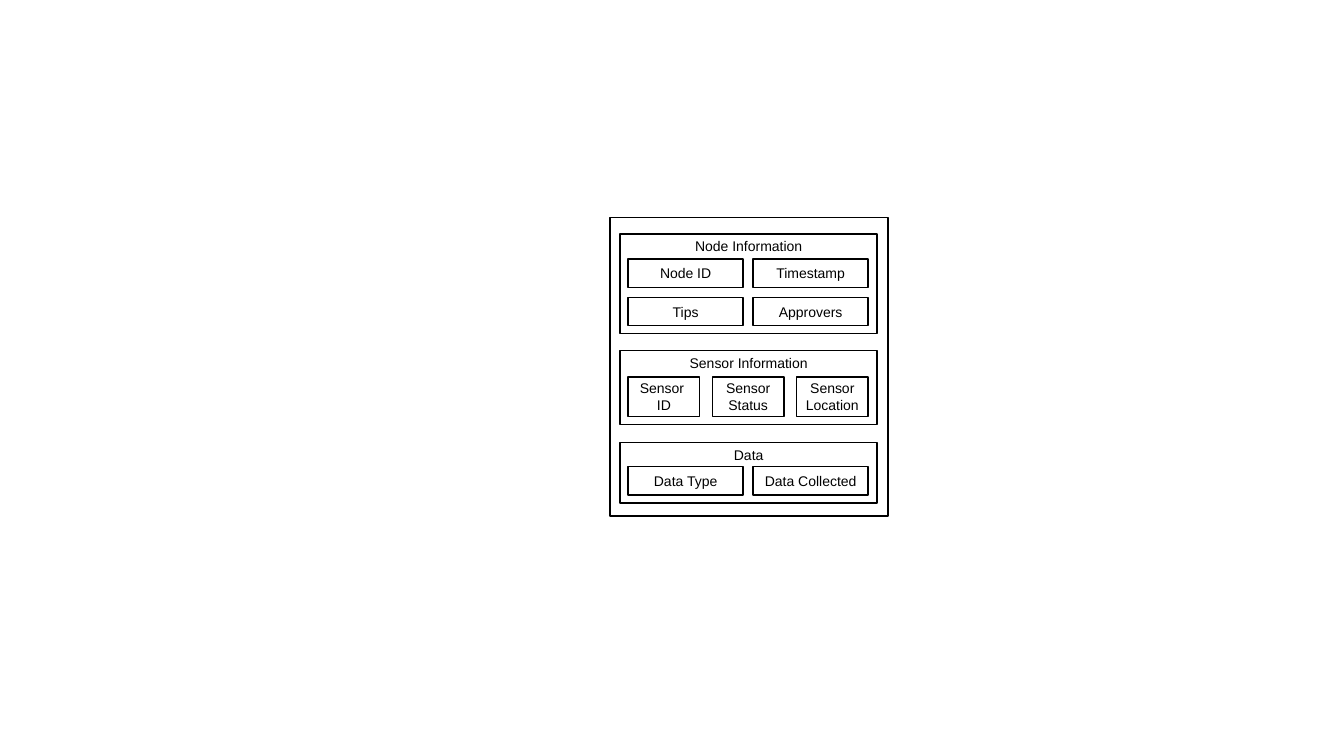
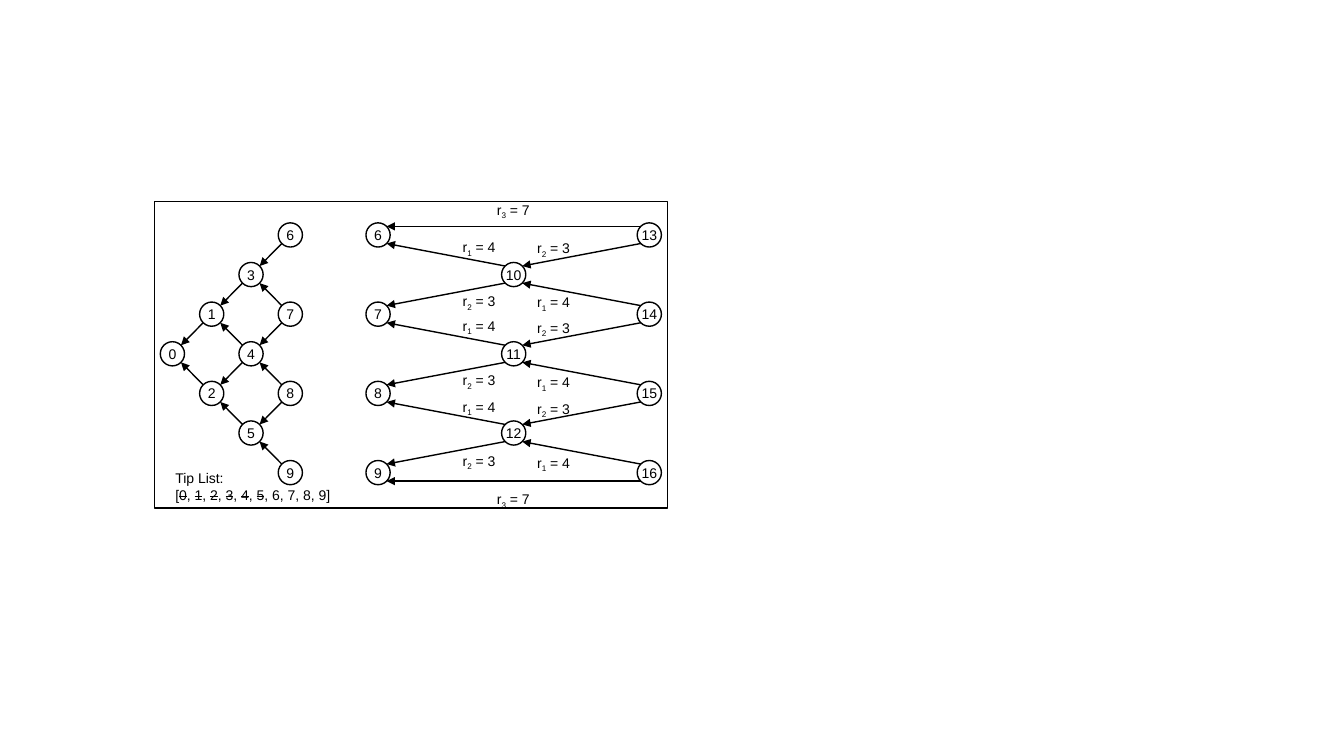
from pptx import Presentation
from pptx.dml.color import RGBColor
from pptx.enum import shapes, text
from pptx.oxml.ns import qn
from pptx.util import Inches, Pt
from lxml import etree

# Shared style
COLORS = {"ink": "000000", "paper": "FFFFFF"}
FONT, SIZE, INSET = "Arial", 10, 0.04
BOX, DOT = shapes.MSO_SHAPE.RECTANGLE, shapes.MSO_SHAPE.OVAL
TOP, MIDDLE = text.MSO_ANCHOR.TOP, text.MSO_ANCHOR.MIDDLE

# Block fields: title, top, height, first row offset, field width, field height, rows
PANELS = [
    ("Node Information", 2.32, 0.99, 0.25, 1.14, 0.28,
     [["Node ID", "Timestamp"], ["Tips", "Approvers"]]),
    ("Sensor Information", 3.48, 0.73, 0.26, 0.71, 0.39,
     [["Sensor \nID", "Sensor Status", "Sensor Location"]]),
    ("Data", 4.39, 0.6, 0.24, 1.14, 0.28,
     [["Data Type", "Data Collected"]]),
]
FIELD_X, SPAN, ROW_GAP = 6.23, 2.38, 0.1

# Graphs: first centre x, column step, columns of nodes
GRAPHS = [
    (1.71, 0.39, [[0], [1, 2], [3, 4, 5], [6, 7, 8, 9]]),
    (3.75, 1.345, [[6, 7, 8, 9], [10, 11, 12], [13, 14, 15, 16]]),
]
MID_Y, STEP_Y, DIAM, REACH = 3.51, 0.393, 0.24, 0.085

STRIKE, SUB = ("strike", "sngStrike"), ("baseline", "-25000")
USED = range(6)
TIPS = [("[", None)]
for tip in USED:
    TIPS += [(str(tip), STRIKE), (", ", None)]
TIPS[-1] = (", 6, 7, 8, 9]", None)


def rate(num, value):
    return [("r", None), (str(num), SUB), (f" = {value}", None)]


R1, R2, R3 = rate(1, 4), rate(2, 3), rate(3, 7)
# Labels: left, top, width, height, lines, space between lines
NEAR, FAR = 25, 193
LABELS = [
    (1.64, 4.61, 1.89, 0.44, [[("Tip List:", None)], TIPS], 0),
    (4.83, 1.95, 0.61, 3.13, [R3, R3], FAR),
]
LABELS += [(4.49, top, 0.61, 0.77, [R1, R2], NEAR) for top in (2.32, 3.1, 3.9)]
LABELS += [(5.23, top, 0.61, 0.77, [R2, R1], NEAR) for top in (2.33, 3.12, 3.92)]


def color(name):
    return RGBColor.from_string(COLORS[name])


def write(frame, lines, align, gap=0):
    for i, line in enumerate(lines):
        para = frame.paragraphs[0] if i == 0 else frame.add_paragraph()
        para.alignment = align
        if i:
            para.space_before = Pt(gap)
        for words, mark in line:
            run = para.add_run()
            run.text = words
            run.font.name, run.font.size = FONT, Pt(SIZE)
            run.font.color.rgb = color("ink")
            if mark:
                run.font._element.set(*mark)


def shape(slide, kind, x, y, w, h, words="", anchor=MIDDLE, wrap=True):
    part = slide.shapes.add_shape(kind, *map(Inches, (x, y, w, h)))
    part.shadow.inherit = False
    part.fill.solid()
    part.fill.fore_color.rgb = color("paper")
    part.line.color.rgb = color("ink")
    part.line.width = Pt(1)
    if words:
        frame = part.text_frame
        frame.margin_left = frame.margin_right = Inches(INSET)
        frame.margin_top = frame.margin_bottom = Inches(INSET)
        frame.vertical_anchor, frame.word_wrap = anchor, wrap
        lines = [[(line, None)] for line in words.split("\n")]
        write(frame, lines, text.PP_ALIGN.CENTER)


def label(slide, x, y, w, h, lines, gap):
    frame = slide.shapes.add_textbox(*map(Inches, (x, y, w, h))).text_frame
    frame.word_wrap = True
    write(frame, lines, text.PP_ALIGN.LEFT, gap)


def arrow(slide, *ends):
    link = slide.shapes.add_connector(shapes.MSO_CONNECTOR.STRAIGHT, *map(Inches, ends))
    link.line.color.rgb = color("ink")
    link.line.width = Pt(1)
    etree.SubElement(link.line._get_or_add_ln(), qn("a:tailEnd"), type="triangle")
    etree.SubElement(link._element.spPr, qn("a:effectLst"))


def graph(slide, left, step, cols):
    spots = []
    for c, col in enumerate(cols):
        x = left + c * step
        ys = [MID_Y + (2 * i - len(col) + 1) * STEP_Y for i in range(len(col))]
        spots.append([(x, y) for y in ys])
        for name, y in zip(col, ys):
            shape(slide, DOT, x - DIAM / 2, y - DIAM / 2, DIAM, DIAM, str(name), wrap=False)
    # Each node points to its neighbours one row up or down in the column before
    for olds, news in zip(spots, spots[1:]):
        for x, y in news:
            for ox, oy in olds:
                if abs(oy - y) < 1.5 * STEP_Y:
                    dy = REACH if oy > y else -REACH
                    arrow(slide, x - REACH, y + dy, ox + REACH, oy - dy)
    return spots


deck = Presentation()
deck.slide_width, deck.slide_height = Inches(13.33), Inches(7.5)
blank = deck.slide_layouts[6]

# Slide 1: block structure
block = deck.slides.add_slide(blank)
shape(block, BOX, 6.05, 2.16, 2.76, 2.96)
for title, top, high, drop, w, h, rows in PANELS:
    shape(block, BOX, 6.15, top, 2.55, high, title, TOP)
    for r, row in enumerate(rows):
        pitch = (SPAN - w) / (len(row) - 1)
        for c, name in enumerate(row):
            shape(block, BOX, FIELD_X + c * pitch, top + drop + r * (h + ROW_GAP), w, h, name)

# Slide 2: tip graphs
tangle = deck.slides.add_slide(blank)
shape(tangle, BOX, 1.53, 2, 5.09, 3.04)
for left, step, cols in GRAPHS:
    spots = graph(tangle, left, step, cols)

# Long arrows along the top and bottom of the right graph
for i, dy in ((0, -REACH), (-1, REACH)):
    (ox, oy), (x, y) = spots[0][i], spots[-1][i]
    arrow(tangle, x - REACH, y + dy, ox + REACH, oy + dy)

for item in LABELS:
    label(tangle, *item)

deck.save("out.pptx")
